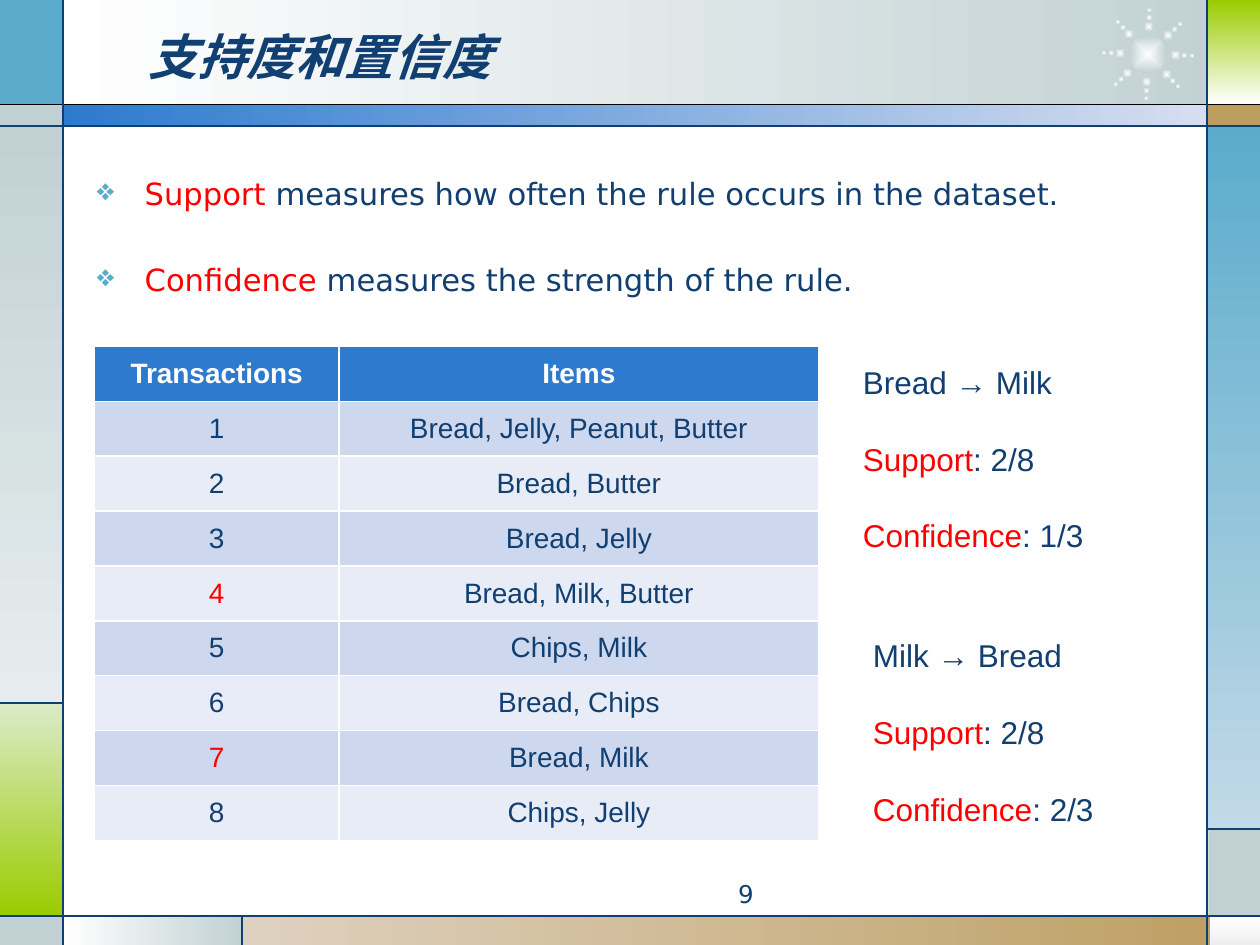
from dataclasses import dataclass
from math import cos, radians, sin

from lxml import etree
from pptx import Presentation
from pptx.dml.color import RGBColor
from pptx.enum.shapes import MSO_CONNECTOR, MSO_SHAPE
from pptx.enum.text import MSO_ANCHOR, PP_ALIGN
from pptx.oxml import parse_xml
from pptx.oxml.ns import nsdecls, qn
from pptx.util import Inches, Pt


@dataclass(frozen=True)
class Theme:
    navy: str = "113F71"
    red: str = "FF0000"
    white: str = "FFFFFF"
    black: str = "000000"
    sky: str = "5AABCC"
    pale_sky: str = "C2D9E7"
    mist: str = "C1D1D3"
    pale_mist: str = "E7EDEE"
    lime: str = "99CC00"
    pale_lime: str = "DBEBC9"
    tan: str = "BD9E61"
    pale_tan: str = "DED1BF"
    blue: str = "2D7ACF"
    pale_blue: str = "D7DEF0"
    silver: str = "EDEDED"
    band_dark: str = "CDD7ED"
    band_light: str = "E8ECF6"
    heading_font: str = "DejaVu Sans"
    content_font: str = "Arial"
    title_size: float = 28
    bullet_size: float = 17.5
    rule_size: float = 18
    table_size: float = 16
    number_size: float = 14


THEME = Theme()
ACROSS, DOWN = 0, 270

# left, top, width, height, colours, gradient direction
FRAME_PANELS = [
    (0.5, 0, 9.27, 0.84, (THEME.white, THEME.mist), ACROSS),
    (0, 0, 0.5, 0.84, (THEME.sky,), None),
    (0, 0.83, 0.5, 0.17, (THEME.mist,), None),
    (0, 1, 0.5, 4.58, (THEME.mist, THEME.pale_mist), DOWN),
    (0, 5.58, 0.5, 1.69, (THEME.pale_lime, THEME.lime), DOWN),
    (0, 7.28, 0.5, 0.23, (THEME.mist,), None),
    (0.5, 7.27, 1.43, 0.24, (THEME.white, THEME.mist), ACROSS),
    (1.92, 7.27, 8.08, 0.24, (THEME.pale_tan, THEME.tan), ACROSS),
    (9.6, 7.28, 0.4, 0.23, (THEME.white, THEME.silver), DOWN),
    (9.59, 6.58, 0.41, 0.7, (THEME.mist,), None),
    (9.58, 1, 0.42, 5.58, (THEME.sky, THEME.pale_sky), DOWN),
    (9.58, 0.83, 0.42, 0.17, (THEME.tan,), None),
    (9.59, 0, 0.41, 0.83, (THEME.lime, THEME.white), DOWN),
    (0.5, 0.83, 9.09, 0.17, (THEME.blue, THEME.pale_blue), ACROSS),
]

FRAME_LINES = [
    (0, 0.83, 10, 0.83, THEME.black),
    (0, 1, 10, 1, THEME.navy),
    (0, 7.27, 10, 7.27, THEME.navy),
    (0.5, 0, 0.5, 7.5, THEME.navy),
    (9.58, 0, 9.58, 7.5, THEME.navy),
    (0, 5.58, 0.5, 5.58, THEME.navy),
    (1.92, 7.27, 1.92, 7.5, THEME.navy),
    (9.58, 6.58, 10, 6.58, THEME.navy),
]

BASKETS = [
    "Bread, Jelly, Peanut, Butter",
    "Bread, Butter",
    "Bread, Jelly",
    "Bread, Milk, Butter",
    "Chips, Milk",
    "Bread, Chips",
    "Bread, Milk",
    "Chips, Jelly",
]
MATCHING_TRANSACTIONS = {4, 7}


def rgb(colour):
    return RGBColor.from_string(colour)


def add_panel(slide, box, colours, angle=None, kind=MSO_SHAPE.RECTANGLE):
    panel = slide.shapes.add_shape(kind, *map(Inches, box))
    panel.shadow.inherit = False
    panel.line.fill.background()
    if len(colours) == 1:
        panel.fill.solid()
        panel.fill.fore_color.rgb = rgb(colours[0])
    else:
        panel.fill.gradient()
        for stop, position, colour in zip(panel.fill.gradient_stops, (0, 1), colours):
            stop.position = position
            stop.color.rgb = rgb(colour)
        if angle is not None:
            panel.fill.gradient_angle = angle
    return panel


def add_glow(slide, x, y, size):
    """Add a round spot, centred on x and y, that fades from its middle."""
    box = (x - size / 2, y - size / 2, size, size)
    spot = add_panel(slide, box, (THEME.white, THEME.mist), kind=MSO_SHAPE.OVAL)
    gradient = spot._element.spPr.find(qn("a:gradFill"))
    radial = parse_xml(
        f'<a:path {nsdecls("a")} path="shape">'
        '<a:fillToRect l="50000" t="50000" r="50000" b="50000"/></a:path>'
    )
    gradient.replace(gradient.find(qn("a:lin")), radial)


def add_sunburst(slide, x, y):
    add_glow(slide, x, y, 0.3)
    for ray in range(8):
        angle = radians(2 + 45 * ray)
        for distance, size in ((0.29, 0.05), (0.35, 0.04), (0.22, 0.08)):
            add_glow(slide, x + distance * cos(angle), y + distance * sin(angle), size)


def add_frame_line(slide, x1, y1, x2, y2, colour):
    ends = map(Inches, (x1, y1, x2, y2))
    line = slide.shapes.add_connector(MSO_CONNECTOR.STRAIGHT, *ends)
    line.line.color.rgb = rgb(colour)
    line.line.width = Pt(0.75)
    etree.SubElement(line._element.spPr, qn("a:effectLst"))


def set_font(font, name, size, colour=THEME.navy, bold=False, italic=False):
    font.name = name
    font.size = Pt(size)
    font.color.rgb = rgb(colour)
    font.bold = bold
    font.italic = italic


def add_text(slide, box, lines, font, size, gap=0, align=PP_ALIGN.LEFT,
             anchor=MSO_ANCHOR.TOP, bullet=None, wrap=True, **style):
    """Add lines of (red term, rest) pairs, set gap points apart."""
    frame = slide.shapes.add_textbox(*map(Inches, box)).text_frame
    frame.word_wrap = wrap
    frame.vertical_anchor = anchor
    for index, (term, rest) in enumerate(lines):
        paragraph = frame.paragraphs[0] if index == 0 else frame.add_paragraph()
        paragraph.alignment = align
        if index:
            paragraph.space_before = Pt(gap)
        if bullet:
            add_bullet(paragraph, bullet)
        set_font(paragraph.font, font, size, **style)
        if term:
            run = paragraph.add_run()
            run.text = term
            run.font.color.rgb = rgb(THEME.red)
        paragraph.add_run().text = rest


def add_bullet(paragraph, symbol):
    properties = paragraph._p.get_or_add_pPr()
    properties.set("marL", str(Inches(0.38)))
    properties.set("indent", str(-Inches(0.38)))
    colour = etree.SubElement(properties, qn("a:buClr"))
    etree.SubElement(colour, qn("a:srgbClr"), val=THEME.sky)
    etree.SubElement(properties, qn("a:buChar"), char=symbol)


def fill_cell(cell, text, fill, colour, bold=False):
    cell.fill.solid()
    cell.fill.fore_color.rgb = rgb(fill)
    cell.vertical_anchor = MSO_ANCHOR.MIDDLE
    paragraph = cell.text_frame.paragraphs[0]
    paragraph.alignment = PP_ALIGN.CENTER
    set_font(paragraph.font, THEME.content_font, THEME.table_size, colour, bold)
    run = paragraph.add_run()
    run.text = text
    run.font.bold = bold
    run.font.color.rgb = rgb(colour)


def add_transactions(slide):
    box = map(Inches, (0.75, 2.75, 5.75, 3.92))
    table = slide.shapes.add_table(len(BASKETS) + 1, 2, *box).table
    for column, width in zip(table.columns, (1.94, 3.81)):
        column.width = Inches(width)
    for column, heading in enumerate(("Transactions", "Items")):
        fill_cell(table.cell(0, column), heading, THEME.blue, THEME.white, bold=True)
    for number, items in enumerate(BASKETS, start=1):
        band = THEME.band_dark if number % 2 else THEME.band_light
        number_colour = THEME.red if number in MATCHING_TRANSACTIONS else THEME.navy
        fill_cell(table.cell(number, 0), str(number), band, number_colour)
        fill_cell(table.cell(number, 1), items, band, THEME.navy)


def add_rule(slide, left, top, rule, support, confidence):
    lines = [("", rule), ("Support", f": {support}"), ("Confidence", f": {confidence}")]
    add_text(slide, (left, top, 1.97, 1.62), lines, THEME.content_font,
             THEME.rule_size, gap=22.3, wrap=False)


def main():
    presentation = Presentation()
    presentation.slide_width = Inches(10)
    presentation.slide_height = Inches(7.5)
    slide = presentation.slides.add_slide(presentation.slide_layouts[6])

    for *box, colours, angle in FRAME_PANELS:
        add_panel(slide, box, colours, angle)
    add_sunburst(slide, 9.11, 0.43)
    for line in FRAME_LINES:
        add_frame_line(slide, *line)

    add_text(slide, (1.08, 0.13, 8.58, 0.62), [("", "支持度和置信度")],
             THEME.heading_font, THEME.title_size, anchor=MSO_ANCHOR.MIDDLE,
             bold=True, italic=True)
    definitions = [
        ("Support", " measures how often the rule occurs in the dataset."),
        ("Confidence", " measures the strength of the rule."),
    ]
    add_text(slide, (0.67, 1.34, 8.77, 1.16), definitions, THEME.heading_font,
             THEME.bullet_size, gap=28.2, align=PP_ALIGN.JUSTIFY, bullet="❖")
    add_text(slide, (3.75, 6.93, 2.33, 0.27), [("", "9")], THEME.heading_font,
             THEME.number_size, align=PP_ALIGN.RIGHT)
    add_transactions(slide)
    add_rule(slide, 6.75, 2.83, "Bread → Milk", "2/8", "1/3")
    add_rule(slide, 6.83, 5, "Milk → Bread", "2/8", "2/3")

    presentation.save("out.pptx")


if __name__ == "__main__":
    main()
